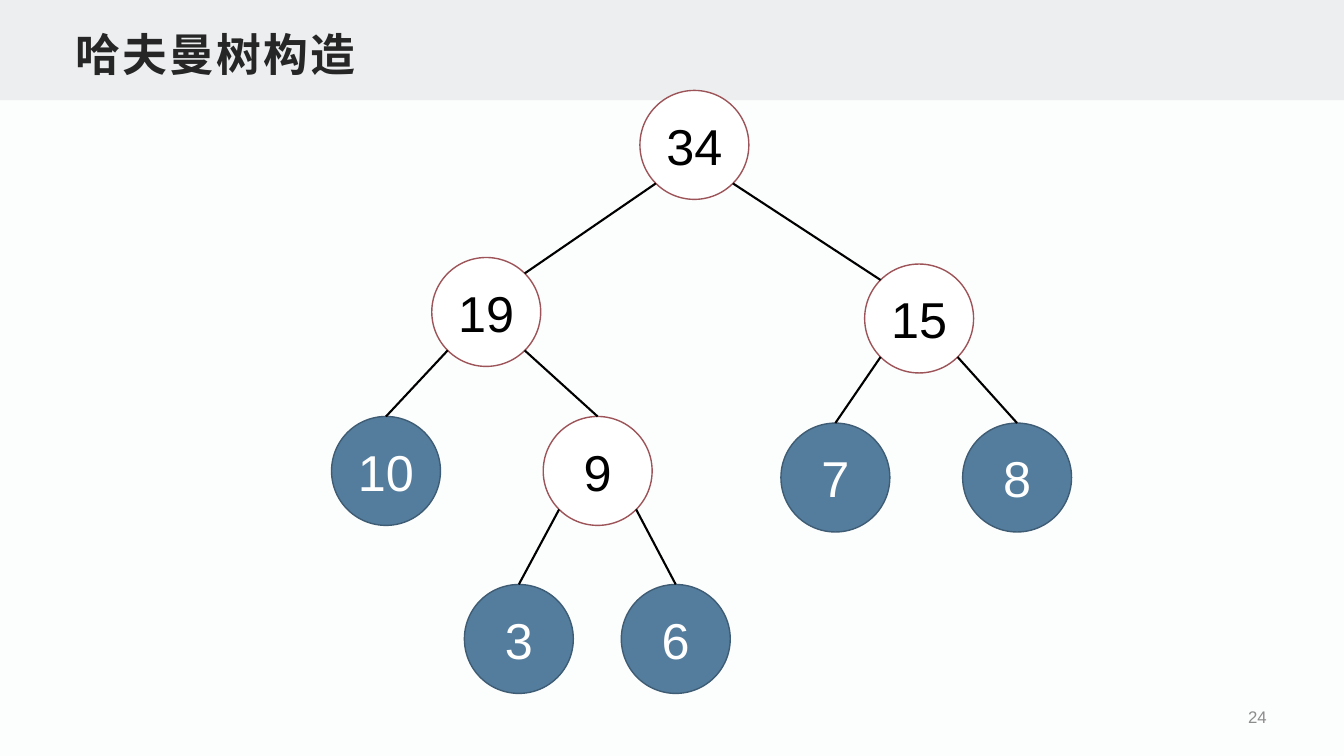
"""Build the slide that shows a finished Huffman tree."""
import math

from pptx import Presentation
from pptx.dml.color import RGBColor
from pptx.enum import shapes, text
from pptx.oxml import ns
from pptx.util import Pt
from lxml import etree

FONT = "Arial"
DIAMETER = 77.8
DIAGONAL = DIAMETER * (1 - math.sqrt(0.5)) / 2
LEAF = {"fill": "547D9D", "line": "3E5C74", "color": "FFFFFF"}
INNER = {"fill": "FFFFFF", "line": "9D5458", "color": "000000"}
NODES = {
    34: (457.1, 64.6),
    19: (308.4, 183.9),
    15: (617.6, 188.6),
    10: (236.8, 297.5),
    9: (388, 297.5),
    7: (557.8, 302.2),
    8: (687.6, 302.2),
    3: (331.7, 417.5),
    6: (443.8, 417.5),
}
CHILDREN = {34: (19, 15), 19: (10, 9), 15: (7, 8), 9: (3, 6)}


def paint(target, hex_color):
    """Give a fill or line a solid colour."""
    target.fill.solid()
    target.fill.fore_color.rgb = RGBColor.from_string(hex_color)


def write(shape, content, size, color, bold=False, spacing=None,
          align=text.PP_ALIGN.LEFT, anchor=text.MSO_ANCHOR.MIDDLE, wrap=True):
    """Put one formatted paragraph into a shape."""
    frame = shape.text_frame
    frame.word_wrap = wrap
    frame.vertical_anchor = anchor
    paragraph = frame.paragraphs[0]
    paragraph.alignment = align
    run = paragraph.add_run()
    run.text = content
    run.font.name = FONT
    run.font.size = Pt(size)
    run.font.bold = bold
    run.font.color.rgb = RGBColor.from_string(color)
    properties = run.font._element
    if spacing:
        properties.set("spc", str(round(spacing * 100)))
    east_asian = etree.SubElement(properties, ns.qn("a:ea"))
    east_asian.set("typeface", FONT)


def add_label(slide, box, content, size, color, **style):
    """Add a text box at (left, top, width, height)."""
    label = slide.shapes.add_textbox(*map(Pt, box))
    frame = label.text_frame
    frame.margin_left = frame.margin_right = Pt(6)
    frame.margin_top = frame.margin_bottom = Pt(3)
    write(label, content, size, color, **style)


def add_band(slide, width, height, fill):
    """Add the plain band behind the title."""
    band = slide.shapes.add_shape(
        shapes.MSO_SHAPE.RECTANGLE, 0, 0, Pt(width), Pt(height))
    band.shadow.inherit = False
    paint(band, fill)
    band.line.fill.background()


def add_node(slide, weight):
    """Add the circle of one tree node and return it."""
    left, top = NODES[weight]
    look = INNER if weight in CHILDREN else LEAF
    node = slide.shapes.add_shape(
        shapes.MSO_SHAPE.OVAL, Pt(left), Pt(top), Pt(DIAMETER), Pt(DIAMETER))
    node.shadow.inherit = False
    paint(node, look["fill"])
    paint(node.line, look["line"])
    node.line.width = Pt(1)
    write(node, str(weight), 36, look["color"],
          align=text.PP_ALIGN.CENTER, wrap=False)
    return node


def diagonal_point(weight, right, bottom):
    """Return the point of a circle on one of its diagonals."""
    left, top = NODES[weight]
    far = DIAMETER - DIAGONAL
    return left + (far if right else DIAGONAL), top + (far if bottom else DIAGONAL)


def add_branch(slide, parent, child, right, circles):
    """Link a parent's lower diagonal to its child."""
    start = diagonal_point(parent, right, True)
    end = diagonal_point(child, not right, False)
    branch = slide.shapes.add_connector(
        shapes.MSO_CONNECTOR.STRAIGHT, *map(Pt, start + end))
    if parent != 34:
        branch.end_connect(circles[child], 0)
    paint(branch.line, "000000")
    branch.line.width = Pt(1.5)
    etree.SubElement(branch._element.spPr, ns.qn("a:effectLst"))


def main():
    """Build and save the slide."""
    deck = Presentation()
    deck.slide_width, deck.slide_height = Pt(960), Pt(540)
    slide = deck.slides.add_slide(deck.slide_layouts[6])
    paint(slide.background, "FCFDFD")
    add_band(slide, 960, 71.6, "ECEEEF")
    add_label(slide, (698.4, 499.7, 212.4, 25.2), "24", 12, "8C8C8C",
              align=text.PP_ALIGN.RIGHT)
    add_label(slide, (48, 12.2, 864, 48.2), "哈夫曼树构造", 32, "262626",
              bold=True, spacing=1.5, anchor=text.MSO_ANCHOR.BOTTOM)
    circles = {weight: add_node(slide, weight) for weight in NODES}
    for parent, pair in CHILDREN.items():
        for right, child in enumerate(pair):
            add_branch(slide, parent, child, bool(right), circles)
    deck.save("out.pptx")


if __name__ == "__main__":
    main()
